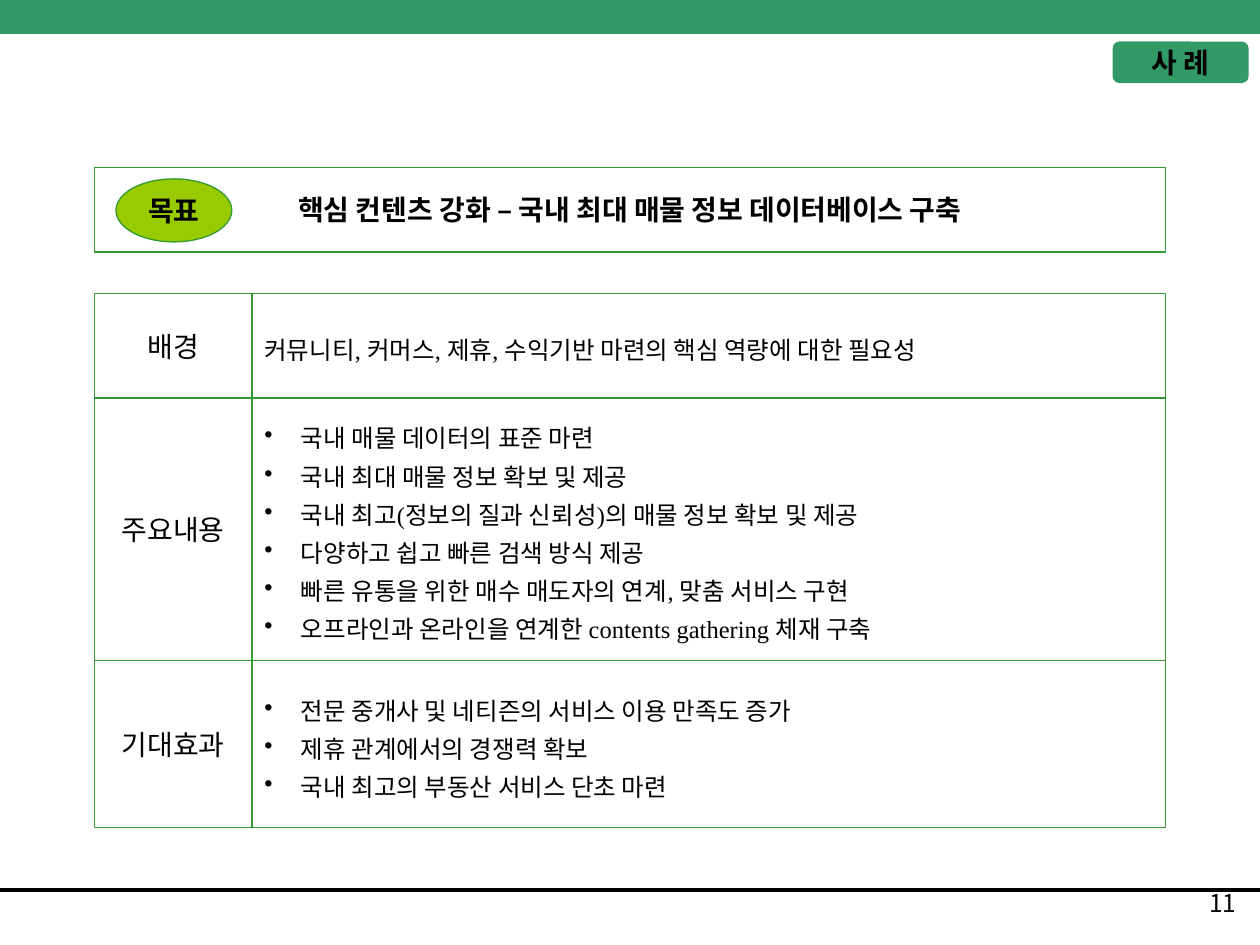
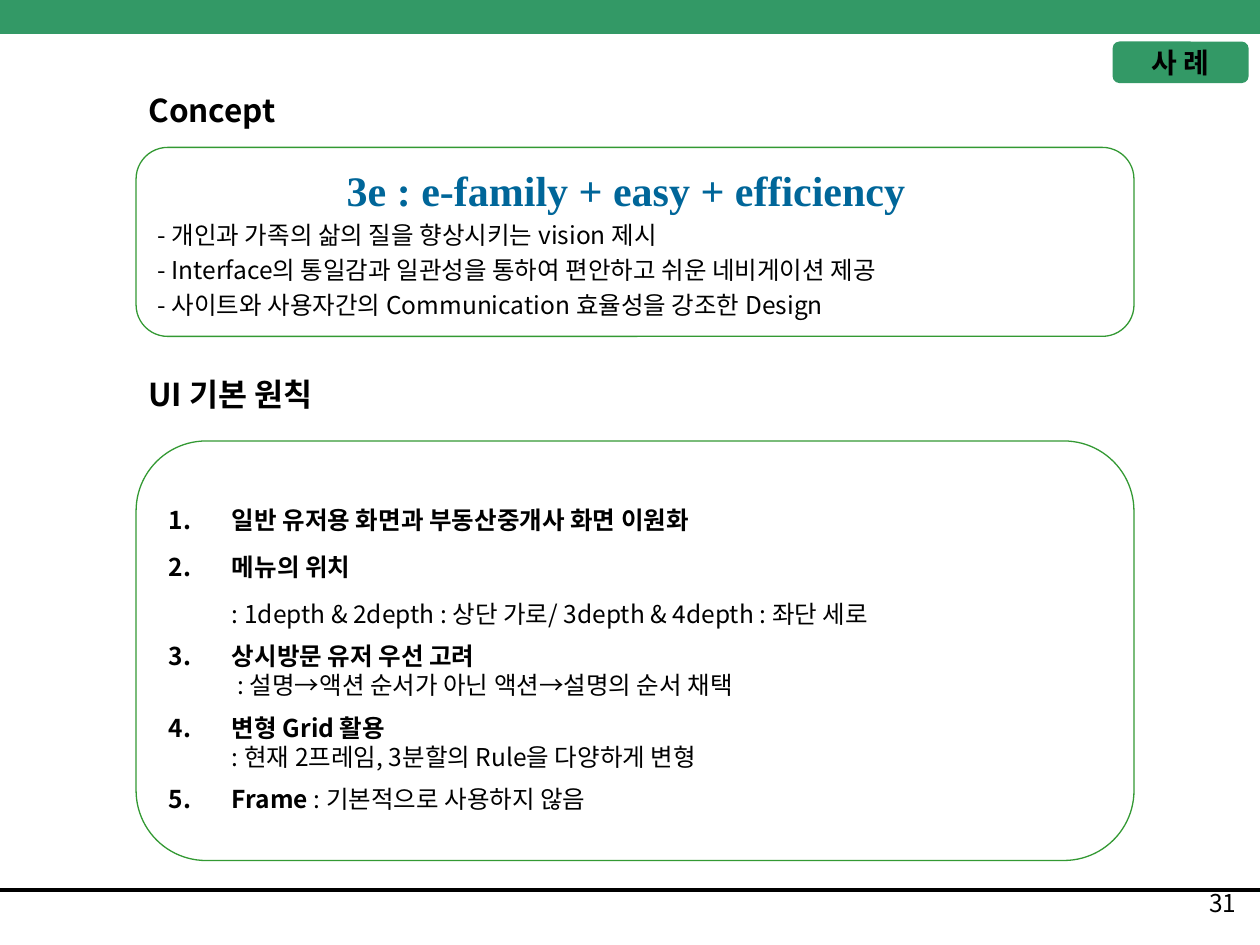
import pptx
import pptx.dml.color
import pptx.enum.shapes
import pptx.enum.text
import pptx.oxml.ns
import pptx.util
from lxml import etree
from pptx.util import Inches, Pt

SANS = "Noto Sans CJK KR"
SERIF = "Times New Roman"
BLACK, WHITE, BLUE = "000000", "FFFFFF", "006699"
BAND_GREEN, LINE_GREEN, LIME = "339966", "339933", "99CC00"

SHAPES = pptx.enum.shapes.MSO_SHAPE
ALIGN = pptx.enum.text.PP_ALIGN
ANCHOR = pptx.enum.text.MSO_ANCHOR

TAG = "사 례"
GOAL_LABEL = "목표"
GOAL = "핵심 컨텐츠 강화 – 국내 최대 매물 정보 데이터베이스 구축"

# label, row height, lines
PLAN_ROWS = [
    ("배경", 0.83, ["커뮤니티, 커머스, 제휴, 수익기반 마련의 핵심 역량에 대한 필요성"]),
    ("주요내용", 2.08, [
        "국내 매물 데이터의 표준 마련",
        "국내 최대 매물 정보 확보 및 제공",
        "국내 최고(정보의 질과 신뢰성)의 매물 정보 확보 및 제공",
        "다양하고 쉽고 빠른 검색 방식 제공",
        "빠른 유통을 위한 매수 매도자의 연계, 맞춤 서비스 구현",
        "오프라인과 온라인을 연계한 contents gathering 체재 구축",
    ]),
    ("기대효과", 1.33, [
        "전문 중개사 및 네티즌의 서비스 이용 만족도 증가",
        "제휴 관계에서의 경쟁력 확보",
        "국내 최고의 부동산 서비스 단초 마련",
    ]),
]

CONCEPT_SLOGAN = "3e : e-family + easy + efficiency"
CONCEPT_LINES = [
    "- 개인과 가족의 삶의 질을 향상시키는 vision 제시",
    "- Interface의 통일감과 일관성을 통하여 편안하고 쉬운 네비게이션 제공",
    "- 사이트와 사용자간의 Communication 효율성을 강조한 Design",
]

# heading, note, note on its own line, line pitch, space before
PRINCIPLES = [
    ("일반 유저용 화면과 부동산중개사 화면 이원화", "", False, 26.8, 0),
    ("메뉴의 위치", ": 1depth & 2depth : 상단 가로/ 3depth & 4depth : 좌단 세로",
     True, 26.8, 0),
    ("상시방문 유저 우선 고려", " : 설명→액션 순서가 아닌 액션→설명의 순서 채택",
     True, 16.7, 7.5),
    ("변형 Grid 활용", ": 현재 2프레임, 3분할의 Rule을 다양하게 변형", True, 16.7, 7.5),
    ("Frame ", ": 기본적으로 사용하지 않음", False, 16.7, 7.5),
]


def color(value):
    return pptx.dml.color.RGBColor.from_string(value)


def style_run(span, size, font=SANS, ink=BLACK, bold=False):
    span.font.size = Pt(size)
    span.font.name = font
    span.font.bold = bold
    span.font.color.rgb = color(ink)
    east_asian = etree.SubElement(span.font._element, pptx.oxml.ns.qn("a:ea"))
    east_asian.set("typeface", SANS)


def style_para(para, size, font=SANS, ink=BLACK, bold=False, align=ALIGN.LEFT, pitch=None):
    para.alignment = align
    if pitch:
        para.line_spacing = Pt(pitch)
    for span in para.runs:
        style_run(span, size, font, ink, bold)


def indent(para, left, bullet=None, **settings):
    """Set the left indent; a bullet element hangs in front of it."""
    properties = para._p.get_or_add_pPr()
    properties.set("marL", str(Inches(left)))
    if bullet:
        properties.set("indent", str(-Inches(left)))
        mark = etree.SubElement(properties, pptx.oxml.ns.qn(bullet))
        for name, value in settings.items():
            mark.set(name, value)


def add_box(page, kind, area, fill=None, line=None):
    box = page.shapes.add_shape(kind, *map(Inches, area))
    box.shadow.inherit = False
    if fill:
        box.fill.solid()
        box.fill.fore_color.rgb = color(fill)
    else:
        box.fill.background()
    if line:
        box.line.color.rgb = color(line)
        box.line.width = Pt(0.75)
    else:
        box.line.fill.background()
    if kind == SHAPES.ROUNDED_RECTANGLE:
        box.adjustments[0] = 0.167
    box.text_frame.word_wrap = True
    box.text_frame.vertical_anchor = ANCHOR.MIDDLE
    return box


def write_lines(box, lines, size, **style):
    box.text_frame.text = "\n".join(lines)
    for para in box.text_frame.paragraphs:
        style_para(para, size, **style)
    return box.text_frame.paragraphs


def add_label(page, area, text, size, **style):
    label = page.shapes.add_textbox(*map(Inches, area))
    label.text_frame.word_wrap = True
    write_lines(label, [text], size, **style)


def add_page(deck, number):
    """Add a page with the green band, footer rule, page number and tag."""
    page = deck.slides.add_slide(deck.slide_layouts[6])
    rule = page.shapes.add_connector(
        pptx.enum.shapes.MSO_CONNECTOR.STRAIGHT,
        Inches(0), Inches(7.06), Inches(10), Inches(7.06))
    rule.line.color.rgb = color(BLACK)
    rule.line.width = Pt(2.25)
    etree.SubElement(rule._element.spPr, pptx.oxml.ns.qn("a:effectLst"))
    add_box(page, SHAPES.RECTANGLE, (0, 0, 10, 0.27), BAND_GREEN)
    add_label(page, (7.83, 7, 2.08, 0.5), str(number), 14, align=ALIGN.RIGHT)
    tag = add_box(page, SHAPES.ROUNDED_RECTANGLE, (8.83, 0.33, 1.08, 0.33), BAND_GREEN)
    write_lines(tag, [TAG], 16, bold=True, align=ALIGN.CENTER)
    return page


def build_plan(deck):
    page = add_page(deck, 11)
    left, label_width, full_width = 0.75, 1.25, 8.5
    centred = {"font": SERIF, "align": ALIGN.CENTER}

    goal = add_box(page, SHAPES.RECTANGLE, (left, 1.33, full_width, 0.67), line=LINE_GREEN)
    write_lines(goal, [GOAL], 16, bold=True, **centred)
    badge = add_box(page, SHAPES.OVAL, (0.92, 1.42, 0.92, 0.5), LIME, LINE_GREEN)
    badge.text_frame.margin_left = badge.text_frame.margin_right = 0
    write_lines(badge, [GOAL_LABEL], 16, bold=True, **centred)

    top = 2.33
    for label, height, lines in PLAN_ROWS:
        head = add_box(page, SHAPES.RECTANGLE, (left, top, label_width, height),
                       WHITE, LINE_GREEN)
        write_lines(head, [label], 16, **centred)
        body = add_box(page, SHAPES.RECTANGLE,
                       (left + label_width, top, full_width - label_width, height),
                       WHITE, LINE_GREEN)
        paras = write_lines(body, lines, 14, font=SERIF, pitch=21.8)
        if len(lines) > 1:
            for para in paras:
                indent(para, 0.29, "a:buChar", char="•")
        top += height


def build_concept(deck):
    page = add_page(deck, 31)
    left, width = 1.08, 7.92
    for top, heading in ((0.67, "Concept"), (2.93, "UI 기본 원칙")):
        add_label(page, (left, top, 5, 0.4), heading, 18, bold=True)

    concept = add_box(page, SHAPES.ROUNDED_RECTANGLE, (left, 1.17, width, 1.5),
                      line=LINE_GREEN)
    slogan, *_ = write_lines(concept, [CONCEPT_SLOGAN], 24, font=SERIF, ink=BLUE, bold=True)
    indent(slogan, 1.5)
    for line in CONCEPT_LINES:
        para = concept.text_frame.add_paragraph()
        para.text = line
        style_para(para, 14, pitch=20)

    rules = add_box(page, SHAPES.ROUNDED_RECTANGLE, (left, 3.5, width, 3.33),
                    line=LINE_GREEN)
    paras = write_lines(rules, [heading for heading, *_ in PRINCIPLES], 14, bold=True)
    for para, (_, note, own_line, pitch, before) in zip(paras, PRINCIPLES):
        para.line_spacing = Pt(pitch)
        para.space_before = Pt(before)
        indent(para, 0.5, "a:buAutoNum", type="arabicPeriod")
        if own_line:
            para.add_line_break()
        if note:
            span = para.add_run()
            span.text = note
            style_run(span, 14)


def main():
    deck = pptx.Presentation()
    deck.slide_width, deck.slide_height = Inches(10), Inches(7.5)
    build_plan(deck)
    build_concept(deck)
    deck.save("out.pptx")


if __name__ == "__main__":
    main()
